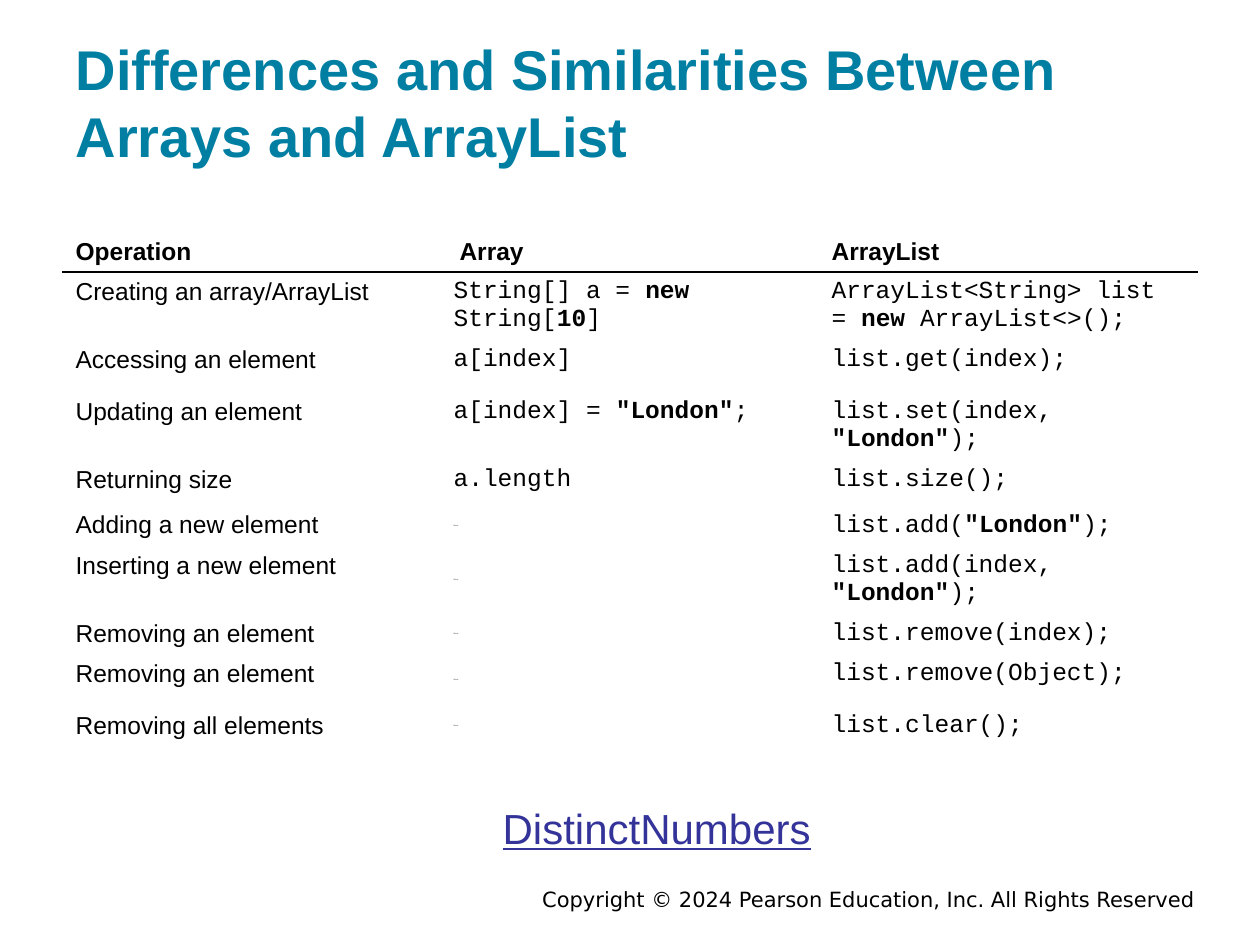
from lxml import etree
from pptx import Presentation
from pptx import util as u
from pptx.dml.color import RGBColor
from pptx.enum import text
from pptx.oxml.ns import qn

COLORS = {"title": "007FA3", "text": "000000", "link": "333399", "paper": "FFFFFF"}
SANS, MONO, TINY, FOOT = "Arial", "Courier New", "Montserrat", "DejaVu Sans"
HEADER = ["Operation", " Array", "ArrayList"]
# operation, array code, list code, row height; *...* marks bold code
ROWS = [
    ("Creating an array/ArrayList", "String[] a = *new* String[*10*]",
     "ArrayList<String> list = *new* ArrayList<>();", 29.5),
    ("Accessing an element", "a[index]", "list.get(index);", 29.5),
    ("Updating an element", 'a[index] = *"London"*;', 'list.set(index, *"London"*);', 29.5),
    ("Returning size", "a.length", "list.size();", 26),
    ("Adding a new element", None, 'list.add(*"London"*);', 22),
    ("Inserting a new element", None, 'list.add(index, *"London"*);', 29.5),
    ("Removing an element", None, "list.remove(index);", 10),
    ("Removing an element", None, "list.remove(Object);", 29.5),
    ("Removing all elements", None, "list.clear();", 23),
]


def write(tf, words, size=14, font=SANS, color="text", bold=False, underline=False,
          align=text.PP_ALIGN.LEFT, line=None):
    """Fill the first paragraph; parts between asterisks turn bold."""
    p = tf.paragraphs[0]
    p.alignment = align
    p.space_before = u.Pt(0)
    if line:
        p.line_spacing = line
    for i, part in enumerate(words.split("*")):
        if not part:
            continue
        r = p.add_run()
        r.text = part
        r.font.size = u.Pt(size)
        r.font.name = font
        r.font.bold = bold or i % 2 == 1
        r.font.underline = underline
        r.font.color.rgb = RGBColor.from_string(COLORS[color])


def rule(cell, side, color="text", width=1):
    """Draw one border of a cell; call before the fill is set."""
    ln = etree.SubElement(cell._tc.get_or_add_tcPr(), qn(f"a:{side}"), w=str(u.Pt(width)))
    fill = etree.SubElement(ln, qn("a:solidFill"))
    etree.SubElement(fill, qn("a:srgbClr"), val=COLORS[color])


class Deck:
    def __init__(self, width, height):
        self.prs = Presentation()
        self.prs.slide_width, self.prs.slide_height = u.Pt(width), u.Pt(height)
        self.s = self.prs.slides.add_slide(self.prs.slide_layouts[1])

    def frame(self, sp, box, anchor, inset=7.2):
        sp.left, sp.top, sp.width, sp.height = map(u.Pt, box)
        tf = sp.text_frame
        tf.word_wrap = True
        tf.auto_size = text.MSO_AUTO_SIZE.NONE
        tf.vertical_anchor = anchor
        tf.margin_left = tf.margin_right = u.Pt(7.2)
        tf.margin_top = tf.margin_bottom = u.Pt(inset)
        return tf

    def title(self, words, box):
        tf = self.frame(self.s.shapes.title, box, text.MSO_ANCHOR.BOTTOM)
        write(tf, words, size=32, color="title", bold=True)

    def body(self, words, box):
        tf = self.frame(self.s.placeholders[1], box, text.MSO_ANCHOR.TOP)
        pPr = tf.paragraphs[0]._p.get_or_add_pPr()
        pPr.set("marL", "0")
        pPr.set("indent", "0")
        etree.SubElement(pPr, qn("a:buNone"))
        write(tf, words, size=24, color="link", underline=True)

    def footer(self, words, box):
        sp = self.s.shapes.add_textbox(*map(u.Pt, box))
        tf = self.frame(sp, box, text.MSO_ANCHOR.MIDDLE, inset=3.6)
        write(tf, words, size=12, font=FOOT, align=text.PP_ALIGN.RIGHT)

    def cell(self, cell, words, border=None, anchor=text.MSO_ANCHOR.TOP, **style):
        if border:
            rule(cell, border)
        cell.fill.solid()
        cell.fill.fore_color.rgb = RGBColor.from_string(COLORS["paper"])
        cell.vertical_anchor = anchor
        write(cell.text_frame, words, **style)

    def table(self, header, rows, box, header_height):
        table = self.s.shapes.add_table(len(rows) + 1, len(header), *map(u.Pt, box)).table
        table.first_row = table.horz_banding = False
        table.rows[0].height = u.Pt(header_height)
        for col, words in enumerate(header):
            self.cell(table.cell(0, col), words, border="lnB",
                      anchor=text.MSO_ANCHOR.BOTTOM, bold=True)
        for n, (operation, *codes, height) in enumerate(rows, 1):
            table.rows[n].height = u.Pt(height)
            border = "lnT" if n == 1 else None
            self.cell(table.cell(n, 0), operation, border)
            for col, code in enumerate(codes, 1):
                if code:
                    self.cell(table.cell(n, col), code, border, font=MONO)
                else:
                    self.cell(table.cell(n, col), "Blank", border,
                              anchor=text.MSO_ANCHOR.MIDDLE, size=1, font=TINY)


def main():
    deck = Deck(720, 540)
    deck.footer("Copyright © 2024 Pearson Education, Inc. All Rights Reserved",
                (126, 506, 564, 16))
    deck.title("Differences and Similarities Between Arrays and ArrayList",
               (36, 17.5, 648, 86))
    deck.table(HEADER, ROWS, (36, 126, 648, 307), header_height=29.5)
    deck.body("DistinctNumbers", (280, 451.5, 203, 46))
    deck.prs.save("out.pptx")


if __name__ == "__main__":
    main()
